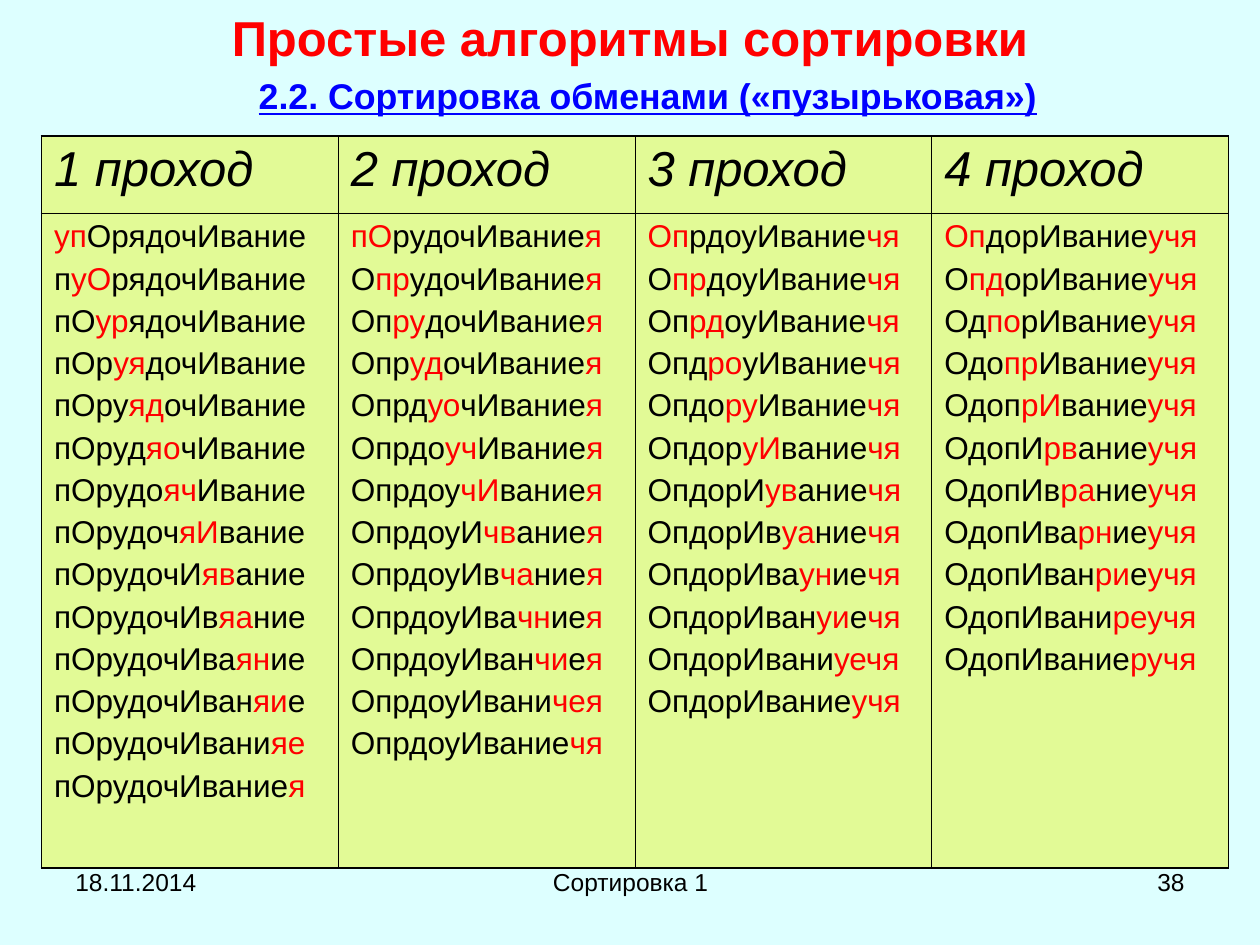
from itertools import groupby

from lxml.etree import SubElement
from pptx import Presentation
from pptx.dml.color import RGBColor
from pptx.enum.text import MSO_ANCHOR, PP_ALIGN
from pptx.oxml.ns import qn
from pptx.util import Inches, Pt

BLACK, RED, BLUE = "000000", "FF0000", "0000FF"
BACKGROUND, CELL_FILL = "DDFFFF", "E8F62E"
COLUMNS, ROWS = 100, 75
THIN, THICK = 0.45, 1.08
PASSES = 4


def color(value):
    return RGBColor.from_string(value)


def bubble_pass(letters, tail_size):
    """Do one pass in place; return (letters, red positions) for every step."""
    last = len(letters) - tail_size - 1
    tail = set(range(last + 1, len(letters)))
    steps = []
    for index in range(last):
        steps.append((letters[:], tail | {index, index + 1}))
        left, right = letters[index:index + 2]
        if left.lower() > right.lower():
            letters[index:index + 2] = right, left
    steps.append((letters[:], tail | {last}))
    return steps


def colored_spans(letters, red_positions):
    """Join neighbouring letters of one colour into (text, colour) spans."""
    groups = groupby(range(len(letters)), key=lambda index: index in red_positions)
    return [("".join(letters[index] for index in group), RED if is_red else BLACK)
            for is_red, group in groups]


class SlidePainter:
    """Holds the style, the grid and the current slide."""

    font_name = "Arial"

    def __init__(self, deck):
        self.page = deck.slides.add_slide(deck.slide_layouts[6])
        self.column = deck.slide_width / COLUMNS
        self.row = deck.slide_height / ROWS
        self.page.background.fill.solid()
        self.page.background.fill.fore_color.rgb = color(BACKGROUND)

    def place(self, left, top, width, height):
        return (round(left * self.column), round(top * self.row),
                round(width * self.column), round(height * self.row))

    def style(self, font, size, shade=BLACK, **flags):
        font.name = self.font_name
        font.size = Pt(size)
        font.color.rgb = color(shade)
        for name, value in flags.items():
            setattr(font, name, value)

    def text(self, words, area, size, align=PP_ALIGN.LEFT, shade=BLACK,
             anchor=MSO_ANCHOR.TOP, indent=0.1, **flags):
        frame = self.page.shapes.add_textbox(*self.place(*area)).text_frame
        frame.word_wrap = True
        frame.vertical_anchor = anchor
        frame.margin_left = Inches(indent)
        frame.text = words
        paragraph = frame.paragraphs[0]
        paragraph.alignment = align
        self.style(paragraph.runs[0].font, size, shade, **flags)

    def table(self, area, row_heights, column_count):
        shape = self.page.shapes.add_table(
            len(row_heights), column_count, *self.place(*area))
        table = shape.table
        table.first_row = table.horz_banding = False
        for row, height in zip(table.rows, row_heights):
            row.height = round(height * self.row)
        last_row, last_column = len(row_heights) - 1, column_count - 1
        for row in range(len(row_heights)):
            for column in range(column_count):
                outer = {"lnL": column == 0, "lnR": column == last_column,
                         "lnT": row == 0, "lnB": row == last_row}
                self.paint_cell(table.cell(row, column), outer)
        return table

    def paint_cell(self, cell, outer):
        """Draw thick outer and thin inner borders and a half-transparent fill."""
        properties = cell._tc.get_or_add_tcPr()
        for side, is_outer in outer.items():
            width = Pt(THICK if is_outer else THIN)
            line = SubElement(properties, qn(f"a:{side}"), w=str(width))
            fill = SubElement(line, qn("a:solidFill"))
            SubElement(fill, qn("a:srgbClr"), val=BLACK)
        cell.fill.solid()
        cell.fill.fore_color.rgb = color(CELL_FILL)
        shade = properties.find(f"{qn('a:solidFill')}/{qn('a:srgbClr')}")
        SubElement(shade, qn("a:alpha"), val="50000")

    def heading(self, cell, words):
        cell.text_frame.text = words
        span = cell.text_frame.paragraphs[0].runs[0]
        self.style(span.font, 28, italic=True)

    def steps(self, cell, steps):
        frame = cell.text_frame
        for number, (letters, red_positions) in enumerate(steps):
            paragraph = frame.add_paragraph() if number else frame.paragraphs[0]
            if number:
                paragraph.space_before = Pt(4)
            for words, shade in colored_spans(letters, red_positions):
                span = paragraph.add_run()
                span.text = words
                self.style(span.font, 18, shade)


def main():
    deck = Presentation()
    deck.slide_width, deck.slide_height = Inches(10), Inches(7.5)
    painter = SlidePainter(deck)

    painter.text("18.11.2014", (5, 68.3, 23.3, 5.2), 14)
    painter.text("Сортировка 1", (34.2, 68.3, 31.7, 5.2), 14, PP_ALIGN.CENTER)
    painter.text("38", (71.7, 68.3, 23.3, 5.2), 14, PP_ALIGN.RIGHT)
    painter.text("Простые алгоритмы сортировки", (4.8, 0, 90.4, 5.9), 28,
                 PP_ALIGN.CENTER, RED, MSO_ANCHOR.MIDDLE, bold=True)
    painter.text("2.2. Сортировка обменами («пузырьковая»)", (4.8, 5.4, 89.2, 4.4),
                 20.4, PP_ALIGN.CENTER, BLUE, indent=0.5, bold=True, underline=True)

    table = painter.table((3.3, 10.8, 94.2, 58.1), (6.1, 52), PASSES)
    letters = list("упОрядочИвание")
    for column in range(PASSES):
        painter.heading(table.cell(0, column), f"{column + 1} проход")
        painter.steps(table.cell(1, column), bubble_pass(letters, column))

    deck.save("out.pptx")


if __name__ == "__main__":
    main()
